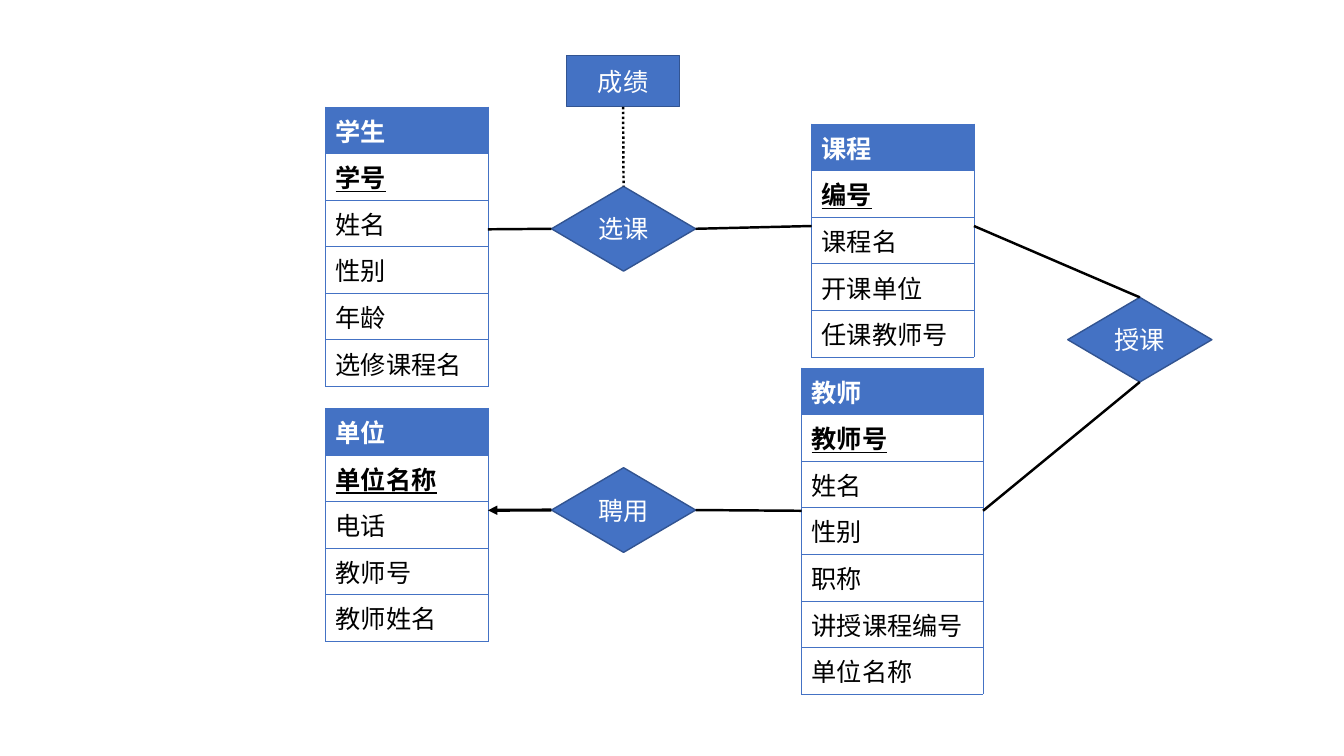
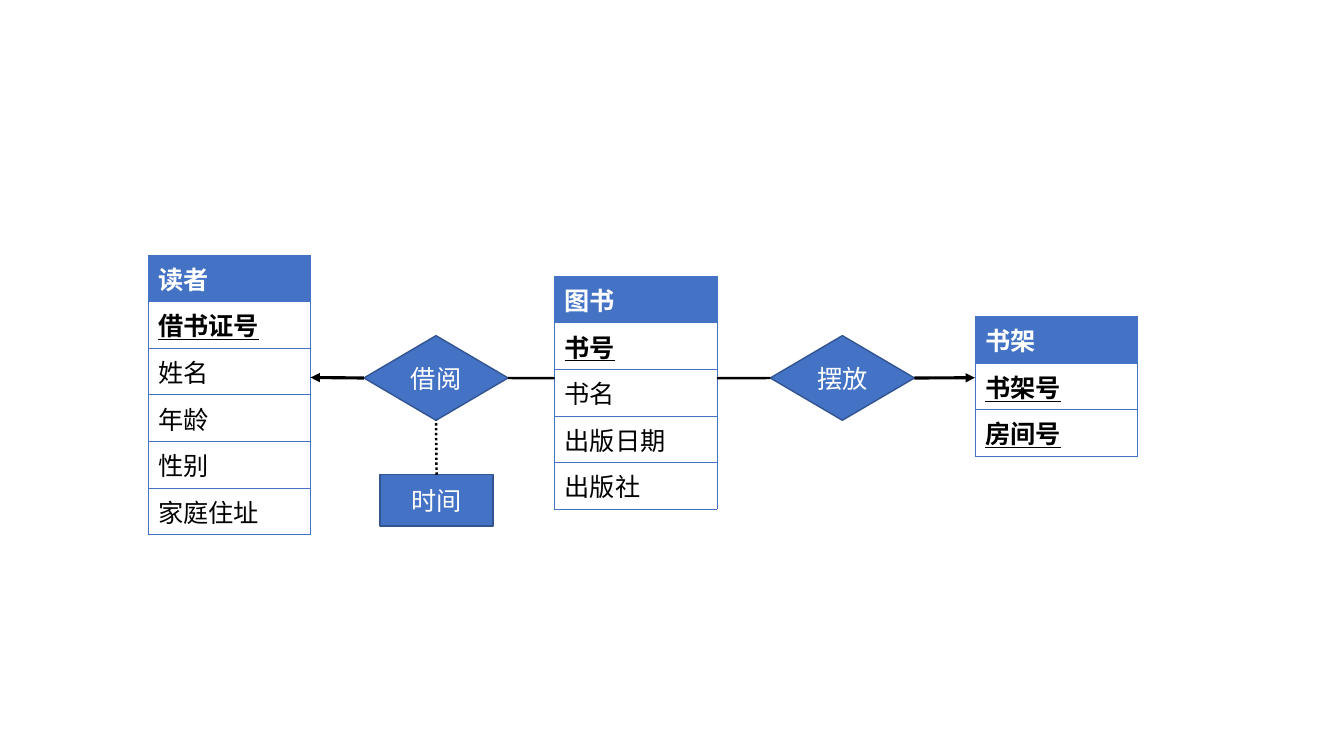
from lxml import etree
from pptx import Presentation
from pptx.dml.color import RGBColor
from pptx.enum.dml import MSO_LINE
from pptx.enum.shapes import MSO_CONNECTOR, MSO_SHAPE
from pptx.enum.text import MSO_ANCHOR, PP_ALIGN
from pptx.oxml.ns import qn
from pptx.util import Inches, Pt

STRAIGHT = MSO_CONNECTOR.STRAIGHT
DIAMOND, RECTANGLE = MSO_SHAPE.DIAMOND, MSO_SHAPE.RECTANGLE
MIDDLE, CENTER = MSO_ANCHOR.MIDDLE, PP_ALIGN.CENTER
DOTTED = MSO_LINE.ROUND_DOT
TOP, LEFT, BOTTOM, RIGHT = range(4)  # connection sites

BLUE = RGBColor(0x44, 0x72, 0xC4)
DARK_BLUE = RGBColor(0x32, 0x54, 0x91)
BLACK = RGBColor(0, 0, 0)
WHITE = RGBColor(255, 255, 255)
FONT = "Noto Sans CJK SC"
ROW_HEIGHT = Inches(2.43) // 6
SHAPE_SIZES = {DIAMOND: (1.43, 0.84), RECTANGLE: (1.12, 0.51)}

# Entities: name, left, top, width, key attributes, other attributes
# Shapes: name, kind, left, top
# Links: shape, its site, entity, side of the entity, arrow
# Attribute links: attribute, its site, relationship, its site
DIAGRAMS = [
    {
        "entities": [
            ("学生", 3.23, 1.06, 1.61, ["学号"], ["姓名", "性别", "年龄", "选修课程名"]),
            ("课程", 8.05, 1.23, 1.61, ["编号"], ["课程名", "开课单位", "任课教师号"]),
            ("单位", 3.23, 4.05, 1.61, ["单位名称"], ["电话", "教师号", "教师姓名"]),
            ("教师", 7.95, 3.65, 1.8, ["教师号"],
             ["姓名", "性别", "职称", "讲授课程编号", "单位名称"]),
        ],
        "shapes": [
            ("选课", DIAMOND, 5.47, 1.85),
            ("授课", DIAMOND, 10.59, 2.95),
            ("聘用", DIAMOND, 5.47, 4.64),
            ("成绩", RECTANGLE, 5.62, 0.55),
        ],
        "links": [
            ("选课", LEFT, "学生", RIGHT, False),
            ("选课", RIGHT, "课程", LEFT, False),
            ("授课", TOP, "课程", RIGHT, False),
            ("授课", BOTTOM, "教师", RIGHT, False),
            ("聘用", RIGHT, "教师", LEFT, False),
            ("聘用", LEFT, "单位", RIGHT, True),
        ],
        "attribute_links": [("成绩", BOTTOM, "选课", TOP)],
    },
    {
        "entities": [
            ("图书", 5.5, 2.74, 1.61, ["书号"], ["书名", "出版日期", "出版社"]),
            ("读者", 1.47, 2.53, 1.61, ["借书证号"], ["姓名", "年龄", "性别", "家庭住址"]),
            ("书架", 9.67, 3.14, 1.61, ["书架号", "房间号"], []),
        ],
        "shapes": [
            ("摆放", DIAMOND, 7.64, 3.33),
            ("借阅", DIAMOND, 3.61, 3.33),
            ("时间", RECTANGLE, 3.77, 4.71),
        ],
        "links": [
            ("摆放", LEFT, "图书", RIGHT, False),
            ("借阅", RIGHT, "图书", LEFT, False),
            ("摆放", RIGHT, "书架", LEFT, True),
            ("借阅", LEFT, "读者", RIGHT, True),
        ],
        "attribute_links": [("时间", TOP, "借阅", BOTTOM)],
    },
]


def write(para, text, color, bold=False, underline=False):
    span = para.add_run()
    span.text = text
    font = span.font
    font.name, font.size = FONT, Pt(18)
    font.bold, font.underline = bold, underline
    font.color.rgb = color
    etree.SubElement(font._element, qn("a:ea"), typeface=FONT)


def add_link(page, shape, site, end_x, end_y, weight):
    link = page.shapes.add_connector(STRAIGHT, 0, 0, end_x, end_y)
    link.begin_connect(shape, site)
    link.line.color.rgb = BLACK
    link.line.width = Pt(weight)
    etree.SubElement(link._element.spPr, qn("a:effectLst"))
    return link


deck = Presentation()
deck.slide_width, deck.slide_height = Inches(13.33), Inches(7.5)

for diagram in DIAGRAMS:
    page = deck.slides.add_slide(deck.slide_layouts[6])

    # Entity tables: header, underlined keys, plain attributes
    entities = {}
    for name, left, top, width, keys, others in diagram["entities"]:
        rows = [name] + keys + others
        frame = page.shapes.add_table(
            len(rows), 1, Inches(left), Inches(top), Inches(width),
            ROW_HEIGHT * len(rows))
        frame.table.horz_banding = False
        entities[name] = frame
        for index, text in enumerate(rows):
            cell = frame.table.cell(index, 0)
            is_header = index == 0
            is_key = 0 < index <= len(keys)
            properties = cell._tc.get_or_add_tcPr()
            for side in ("a:lnL", "a:lnR", "a:lnT", "a:lnB"):
                border = etree.SubElement(properties, qn(side), w=str(Pt(0.5)))
                fill = etree.SubElement(border, qn("a:solidFill"))
                etree.SubElement(fill, qn("a:srgbClr"), val=str(BLUE))
            if is_header:
                cell.fill.solid()
                cell.fill.fore_color.rgb = BLUE
            else:
                cell.fill.background()
            write(cell.text_frame.paragraphs[0], text,
                  WHITE if is_header else BLACK, is_header or is_key, is_key)

    # Relationship diamonds and attribute boxes
    shapes = {}
    for name, kind, left, top in diagram["shapes"]:
        width, height = SHAPE_SIZES[kind]
        box = page.shapes.add_shape(
            kind, Inches(left), Inches(top), Inches(width), Inches(height))
        box.shadow.inherit = False
        box.fill.solid()
        box.fill.fore_color.rgb = BLUE
        box.line.color.rgb = DARK_BLUE
        box.line.width = Pt(1)
        box.text_frame.vertical_anchor = MIDDLE
        para = box.text_frame.paragraphs[0]
        para.alignment = CENTER
        write(para, name, WHITE)
        shapes[name] = box

    # Links from relationships to the middle of an entity's side
    for name, site, entity, side, arrow in diagram["links"]:
        frame = entities[entity]
        end_x = frame.left + (frame.width if side == RIGHT else 0)
        end_y = frame.top + frame.height // 2
        link = add_link(page, shapes[name], site, end_x, end_y,
                        2.25 if arrow else 1.75)
        if arrow:
            etree.SubElement(link.line._get_or_add_ln(), qn("a:tailEnd"),
                             type="triangle")

    # Dotted links from attributes to relationships
    for name, site, relationship, end_site in diagram["attribute_links"]:
        link = add_link(page, shapes[name], site, 0, 0, 1.75)
        link.end_connect(shapes[relationship], end_site)
        link.line.dash_style = DOTTED

deck.save("out.pptx")
